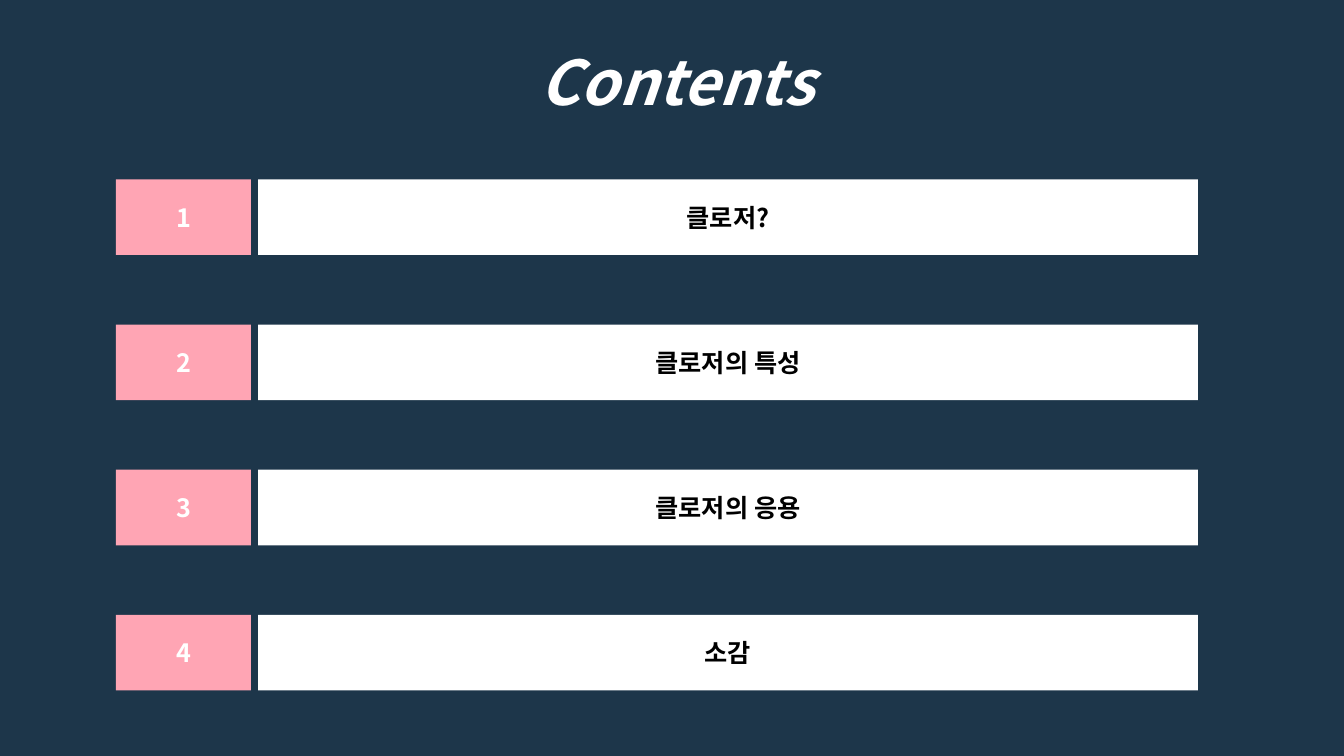
from lxml import etree
from pptx import Presentation
from pptx.dml.color import RGBColor
from pptx.enum import shapes, text
from pptx.oxml.ns import qn
from pptx.util import Inches, Pt

TITLE = "Contents"
TOPICS = ["클로저?", "클로저의 특성", "클로저의 응용", "소감"]

FONT = "Noto Sans CJK KR"
NAVY, PINK, WHITE, BLACK = "1D364A", "FFA5B4", "FFFFFF", "000000"

FIRST_TOP, ROW_STEP, ROW_HEIGHT = 1.78, 1.44, 0.75
NUMBER_LEFT, NUMBER_WIDTH = 1.15, 1.34
TOPIC_LEFT, TOPIC_WIDTH = 2.56, 9.32


def paint(fill, color):
    fill.solid()
    fill.fore_color.rgb = RGBColor.from_string(color)


def write(frame, words, size, color, italic=None):
    """Put one centred bold run in the frame and return its paragraph."""
    paragraph = frame.paragraphs[0]
    paragraph.alignment = text.PP_ALIGN.CENTER
    run = paragraph.add_run()
    run.text = words
    font = run.font
    font.size, font.bold, font.italic = Pt(size), True, italic
    font.name = FONT
    paint(font.fill, color)
    # Hangul takes its typeface from the East Asian font
    etree.SubElement(run._r.get_or_add_rPr(), qn("a:ea"), typeface=FONT)
    return paragraph


def add_box(slide, left, top, width, words, fill, color):
    box = slide.shapes.add_shape(
        shapes.MSO_SHAPE.RECTANGLE,
        Inches(left), Inches(top), Inches(width), Inches(ROW_HEIGHT))
    box.shadow.inherit = False
    paint(box.fill, fill)
    box.line.fill.background()
    box.text_frame.vertical_anchor = text.MSO_ANCHOR.MIDDLE
    write(box.text_frame, words, 18, color)


def main():
    deck = Presentation()
    deck.slide_width, deck.slide_height = Inches(13.33), Inches(7.5)
    slide = deck.slides.add_slide(deck.slide_layouts[6])
    paint(slide.background.fill, NAVY)

    heading = slide.shapes.add_textbox(
        Inches(3.69), Inches(0.02), Inches(6.04), Inches(1.07)).text_frame
    heading.word_wrap = True
    heading.auto_size = text.MSO_AUTO_SIZE.SHAPE_TO_FIT_TEXT
    write(heading, TITLE, 44, WHITE, italic=True).line_spacing = 1.5

    for row, topic in enumerate(TOPICS):
        top = FIRST_TOP + row * ROW_STEP
        add_box(slide, NUMBER_LEFT, top, NUMBER_WIDTH, str(row + 1), PINK, WHITE)
        add_box(slide, TOPIC_LEFT, top, TOPIC_WIDTH, topic, WHITE, BLACK)

    deck.save("out.pptx")


if __name__ == "__main__":
    main()
